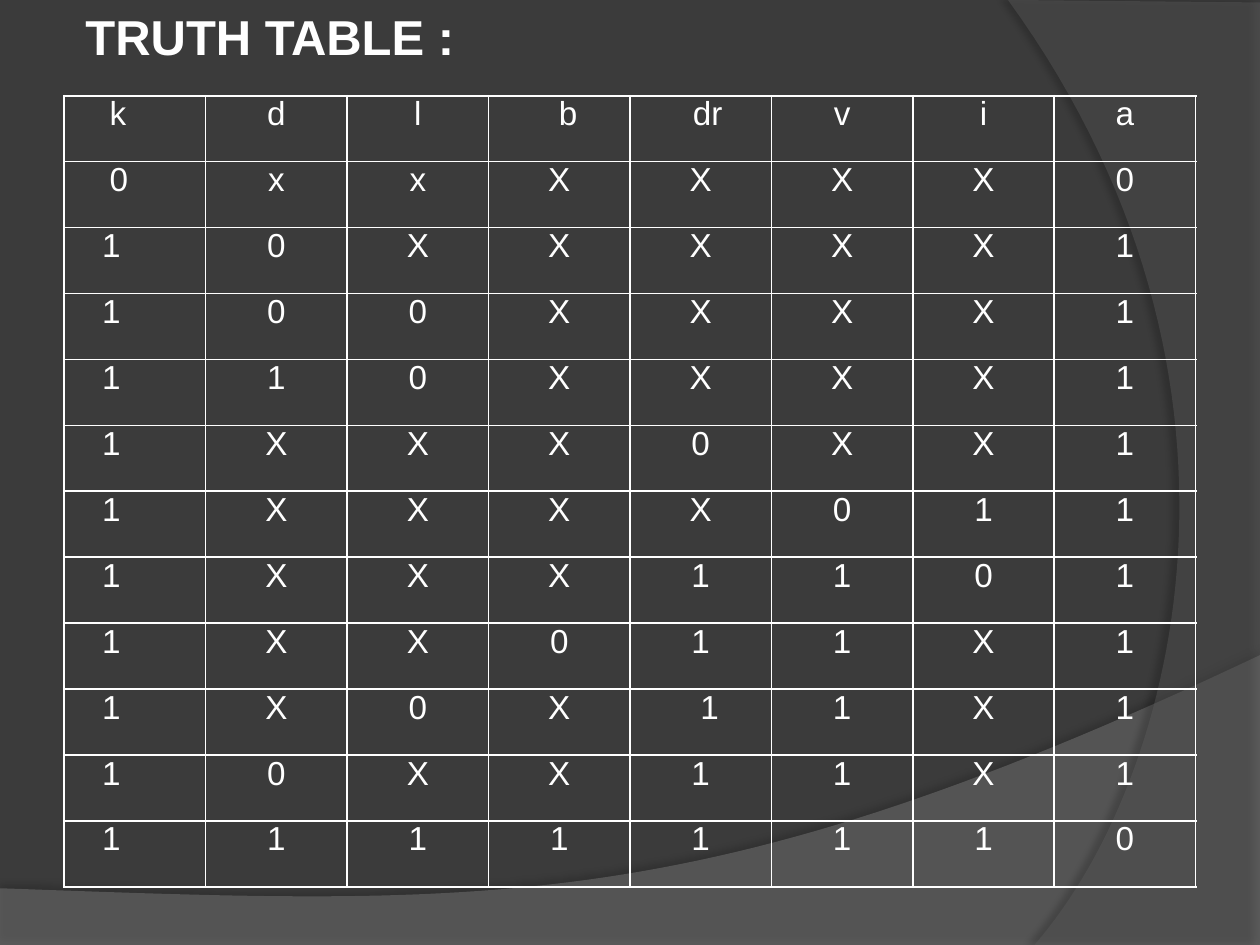
from lxml.etree import SubElement as Sub
from pptx import Presentation
from pptx.dml.color import RGBColor as RGB
from pptx.enum.text import PP_ALIGN as Align
from pptx.oxml.ns import qn
from pptx.util import Inches, Pt

HUES = {"back": "3B3B3B", "wave": "7F7F7F", "arc": "5E5E5E",
        "text": "FFFFFF", "shade": "000000"}

ROWS = [row.split() for row in (
    "k d l b dr v i a",
    "0 x x X X X X 0",
    "1 0 X X X X X 1",
    "1 0 0 X X X X 1",
    "1 1 0 X X X X 1",
    "1 X X X 0 X X 1",
    "1 X X X X 0 1 1",
    "1 X X X 1 1 0 1",
    "1 X X 0 1 1 X 1",
    "1 X 0 X 1 1 X 1",
    "1 0 X X 1 1 X 1",
    "1 1 1 1 1 1 1 0",
)]

# Cells set off from the usual indent, by row and column
SHIFTS = {(0, 0): 0.36, (1, 0): 0.36, (0, 3): 0.14, (0, 4): 0.11, (9, 4): 0.14}


def curve(p0, p1, p2, p3, steps=60):
    """Points along a cubic Bezier, both ends included."""
    points = []
    for n in range(steps + 1):
        t = n / steps
        u = 1 - t
        mix = (u ** 3, 3 * u * u * t, 3 * u * t * t, t ** 3)
        points.append(tuple(sum(m * p[k] for m, p in zip(mix, (p0, p1, p2, p3)))
                            for k in (0, 1)))
    return points


class Deck:
    """Holds the text style and the current slide."""

    font = "Arial"

    def __init__(self, slide):
        self.slide = slide
        fill = slide.background.fill
        fill.solid()
        fill.fore_color.rgb = RGB.from_string(HUES["back"])

    def label(self, para, text, indent=0, **form):
        run = para.add_run()
        run.text = text
        run.font.color.rgb = RGB.from_string(HUES["text"])
        for key, value in {"name": self.font, **form}.items():
            setattr(run.font, key, value)
        if indent:
            props = para._p.get_or_add_pPr()
            props.set("marL", str(Inches(indent)))
            props.set("indent", "0")

    def title(self, text, left, top, width, height):
        frame = self.slide.shapes.add_textbox(
            *map(Inches, (left, top, width, height))).text_frame
        frame.word_wrap = True
        para = frame.paragraphs[0]
        para.space_before = Pt(3)
        self.label(para, text, 0.58, size=Pt(28), bold=True)

    def sheet(self, points, hue, alpha, shade, dist, turn):
        """Draw a see-through outline with a soft shadow."""
        spots = [(Inches(x), Inches(y)) for x, y in points]
        build = self.slide.shapes.build_freeform(*spots[0], scale=1.0)
        build.add_line_segments(spots[1:], close=True)
        shape = build.convert_to_shape()
        shape.fill.solid()
        shape.fill.fore_color.rgb = RGB.from_string(HUES[hue])
        shape.line.fill.background()
        shape.shadow.inherit = False
        props = shape._element.spPr
        color = props.find(qn("a:solidFill")).find(qn("a:srgbClr"))
        Sub(color, qn("a:alpha"), val=str(alpha * 1000))
        cast = Sub(props.find(qn("a:effectLst")), qn("a:outerShdw"),
                   blurRad=str(Pt(4)), dist=str(Pt(dist)),
                   dir=str(turn * 60000), rotWithShape="0")
        color = Sub(cast, qn("a:srgbClr"), val=HUES["shade"])
        Sub(color, qn("a:alpha"), val=str(shade * 1000))

    def border(self, cell):
        props = cell._tc.get_or_add_tcPr()
        for side in "LRTB":
            line = Sub(props, qn(f"a:ln{side}"), w=str(Pt(1.1)))
            fill = Sub(line, qn("a:solidFill"))
            Sub(fill, qn("a:srgbClr"), val=HUES["text"])

    def table(self, rows, left, top, width, height):
        grid = self.slide.shapes.add_table(
            len(rows), len(rows[0]),
            *map(Inches, (left, top, width, height))).table
        grid.first_row = grid.horz_banding = False
        for r, row in enumerate(rows):
            for c, text in enumerate(row):
                cell = grid.cell(r, c)
                self.border(cell)
                cell.fill.background()
                for side in ("left", "right", "top", "bottom"):
                    setattr(cell, f"margin_{side}", 0)
                para = cell.text_frame.paragraphs[0]
                para.alignment = Align.CENTER if c else Align.LEFT
                indent = SHIFTS.get((r, c), 0 if c else 0.3)
                self.label(para, text, indent, size=Pt(19))


def main():
    show = Presentation()
    show.slide_width, show.slide_height = Inches(10), Inches(7.5)
    deck = Deck(show.slides.add_slide(show.slide_layouts[6]))
    wave = curve((10, 5.2), (5.59, 7.29), (3.91, 7.19), (0, 7.05))
    deck.sheet([(0, 7.5), (10, 7.5), *wave], "wave", 45, 35, 3.5, 270)
    arc = curve((8.21, 7.5), (9.35, 6.19), (10.18, 3), (8, 0))
    deck.sheet([(10, 0.02), (10, 7.5), *arc], "arc", 40, 45, 4, 180)
    deck.title("TRUTH TABLE :", 0, 0, 3.98, 0.86)
    deck.table(ROWS, 0.51, 0.76, 8.98, 6.28)
    show.save("out.pptx")


if __name__ == "__main__":
    main()
